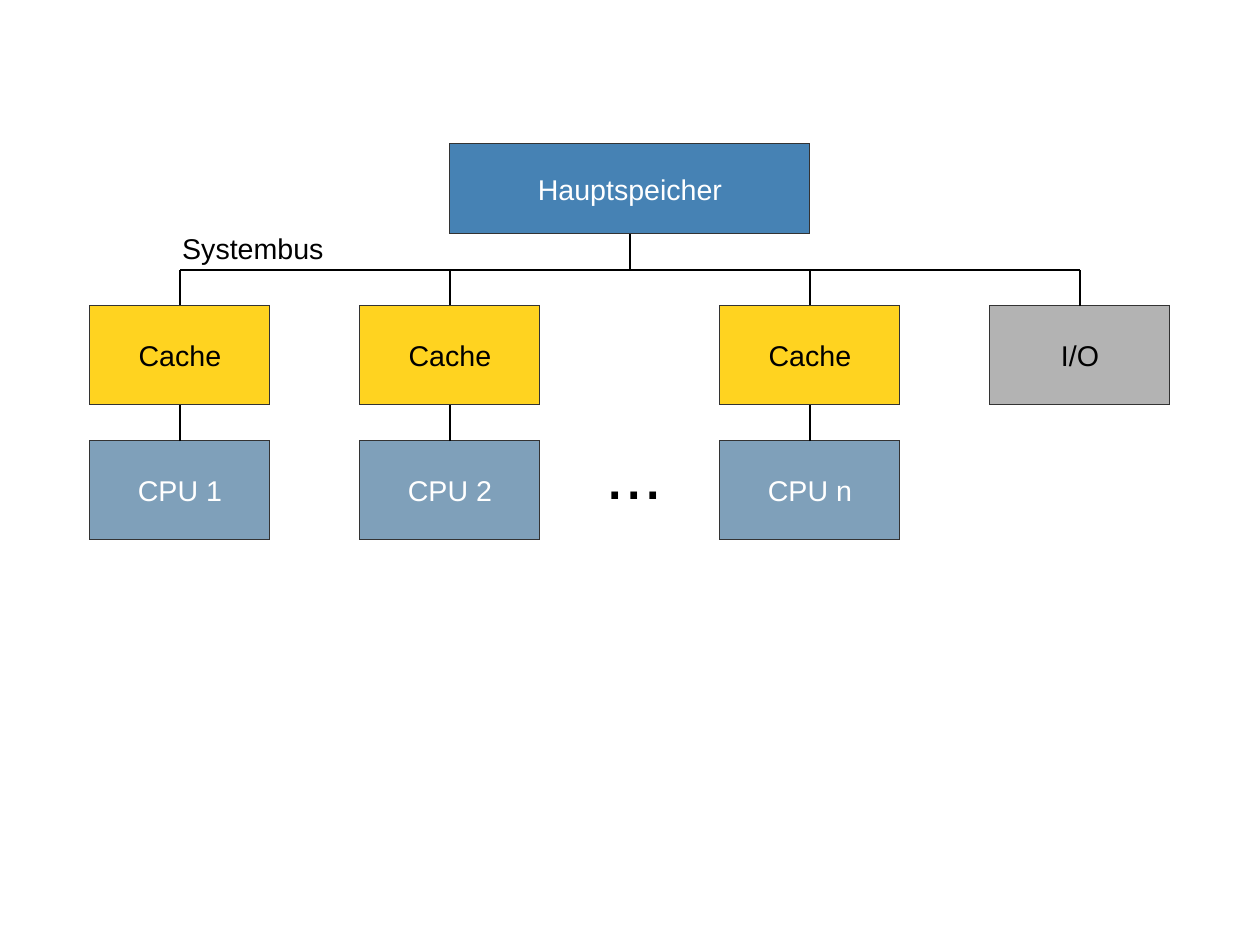
from dataclasses import dataclass
from lxml.etree import SubElement
from pptx import Presentation
from pptx.dml.color import RGBColor as Rgb
from pptx.enum.shapes import MSO_CONNECTOR as Wire, MSO_SHAPE as Kind
from pptx.enum.text import MSO_ANCHOR as Anchor, MSO_AUTO_SIZE as Fit, PP_ALIGN as Align
from pptx.oxml.ns import qn
from pptx.util import Cm, Pt

HUES = {
    "blue": "4682B4", "gold": "FFD320", "steel": "7FA0BA", "gray": "B3B3B3",
    "edge": "333333", "black": "000000", "white": "FFFFFF",
}
COLS, ROWS = 28, 21
BUS = 6
STARTS = (2, 8, 16)
NAMES = ("CPU 1", "CPU 2", "CPU n")


@dataclass
class Box:
    text: str
    col: float
    row: float
    fill: str
    ink: str
    wide: float = 4
    high: float = 2.2


@dataclass
class Label:
    text: str
    col: float
    row: float
    wide: float
    high: float
    size: int
    wrap: bool


deck = Presentation()
deck.slide_width, deck.slide_height = Cm(COLS), Cm(ROWS)
slide = deck.slides.add_slide(deck.slide_layouts[6])
shapes = slide.shapes


def across(cols: float) -> int:
    return round(deck.slide_width * cols / COLS)


def down(rows: float) -> int:
    return round(deck.slide_height * rows / ROWS)


def area(item: Box | Label) -> tuple[int, int, int, int]:
    return across(item.col), down(item.row), across(item.wide), down(item.high)


def style(part: object, form: dict) -> None:
    for key, value in form.items():
        setattr(part, key, value)


def write(shape, text: str, size: int, ink: str, align: Align, frame: dict) -> None:
    style(shape.text_frame, frame)
    line = shape.text_frame.paragraphs[0]
    line.text, line.alignment = text, align
    style(line.runs[0].font, {"name": "Arial", "size": Pt(size)})
    line.runs[0].font.color.rgb = Rgb.from_string(HUES[ink])


def draw_box(box: Box):
    shape = shapes.add_shape(Kind.RECTANGLE, *area(box))
    shape.shadow.inherit = False
    shape.fill.solid()
    shape.fill.fore_color.rgb = Rgb.from_string(HUES[box.fill])
    shape.line.color.rgb = Rgb.from_string(HUES["edge"])
    shape._element.spPr.find(qn("a:ln")).set("w", "0")
    write(shape, box.text, 18, box.ink, Align.CENTER,
          {"word_wrap": False, "vertical_anchor": Anchor.MIDDLE})
    return shape


def draw_line(left: float, top: float, right: float, base: float):
    line = shapes.add_connector(Wire.STRAIGHT, across(left), down(top), across(right), down(base))
    line.line.color.rgb = Rgb.from_string(HUES["black"])
    line.line.width = Pt(1.42)
    SubElement(line._element.spPr, qn("a:effectLst"))
    return line


def link(box: Box, side: int) -> None:
    shape = draw_box(box)
    mid = box.col + box.wide / 2
    edge = box.row + (box.high if side == 2 else 0)
    draw_line(mid, edge, mid, BUS).begin_connect(shape, side)


def draw_label(label: Label) -> None:
    write(shapes.add_textbox(*area(label)), label.text, label.size, "black", Align.LEFT,
          {"word_wrap": label.wrap, "auto_size": Fit.SHAPE_TO_FIT_TEXT})


def main() -> None:
    for name, col in zip(NAMES, STARTS):
        link(Box(name, col, 9.8, "steel", "white"), 0)
    for col in STARTS:
        draw_box(Box("Cache", col, 6.8, "gold", "black"))
    link(Box("Hauptspeicher", 10, 3.2, "blue", "white", 8, 2), 2)
    link(Box("I/O", 22, 6.8, "gray", "black"), 0)
    draw_line(4, BUS, 24, BUS)
    draw_label(Label("...", 13.2, 9.42, 1.8, 1.98, 44, True))
    draw_label(Label("Systembus", 3.8, 5, 3.7, 0.97, 18, False))
    deck.save("out.pptx")


if __name__ == "__main__":
    main()
